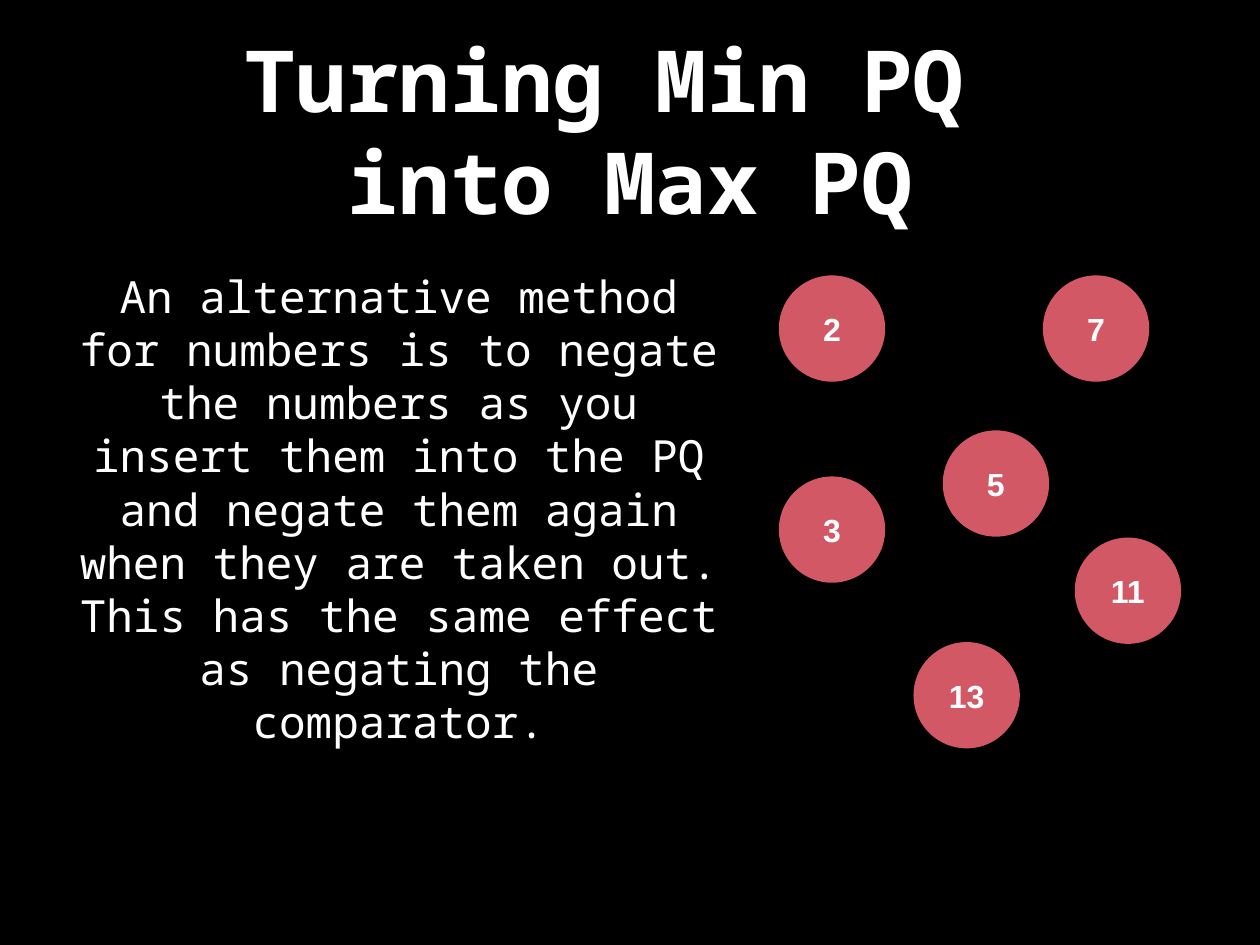
from pptx import Presentation
from pptx.dml.color import RGBColor
from pptx.enum.shapes import MSO_SHAPE
from pptx.enum.text import MSO_ANCHOR, MSO_AUTO_SIZE, PP_ALIGN
from pptx.util import Inches, Pt

CIRCLE = MSO_SHAPE.OVAL
MIDDLE = MSO_ANCHOR.MIDDLE
CENTER = PP_ALIGN.CENTER
FIXED_SIZE = MSO_AUTO_SIZE.NONE
TITLE_ONLY = 5

BLACK = "000000"
WHITE = "FFFFFF"
RED = "D35866"
MONO = "Noto Sans Mono"
DIAMETER = 1.2


def paint(fill, color):
    fill.solid()
    fill.fore_color.rgb = RGBColor.from_string(color)


def write(shape, text, size, font=MONO, bold=False, color=WHITE):
    """Fill the shape with centred text, one paragraph per line."""
    frame = shape.text_frame
    frame.text = text
    frame.word_wrap = True
    frame.auto_size = FIXED_SIZE
    frame.vertical_anchor = MIDDLE
    frame.margin_left = frame.margin_right = Inches(0.05)
    frame.margin_top = frame.margin_bottom = Inches(0.05)
    for paragraph in frame.paragraphs:
        paragraph.alignment = CENTER
        for run in paragraph.runs:
            run.font.name = font
            run.font.size = Pt(size)
            run.font.bold = bold
            paint(run.font.fill, color)


prs = Presentation()
prs.slide_width = Inches(14.22)
prs.slide_height = Inches(10.67)
slide = prs.slides.add_slide(prs.slide_layouts[TITLE_ONLY])
paint(slide.background.fill, BLACK)

title = slide.shapes.title
title.left, title.top = Inches(1.04), Inches(0.28)
title.width, title.height = Inches(12.14), Inches(2.36)
write(title, "Turning Min PQ \ninto Max PQ", size=69.6, bold=True)

# Queue elements: value, left, top
elements = [
    (5, 10.64, 4.86),
    (3, 8.79, 5.38),
    (11, 12.13, 6.07),
    (13, 10.31, 7.25),
    (2, 8.79, 3.11),
    (7, 11.77, 3.11),
]
for value, left, top in elements:
    element = slide.shapes.add_shape(
        CIRCLE, Inches(left), Inches(top), Inches(DIAMETER), Inches(DIAMETER)
    )
    element.shadow.inherit = False
    paint(element.fill, RED)
    element.line.fill.background()
    write(element, str(value), size=26, font="Arial", bold=True)

explanation = slide.shapes.add_textbox(
    Inches(0.84), Inches(3.12), Inches(7.32), Inches(5.24)
)
write(
    explanation,
    "An alternative method for numbers is to negate the numbers as you "
    "insert them into the PQ and negate them again when they are taken out. "
    "This has the same effect as negating the comparator.",
    size=36,
)

prs.save("out.pptx")
